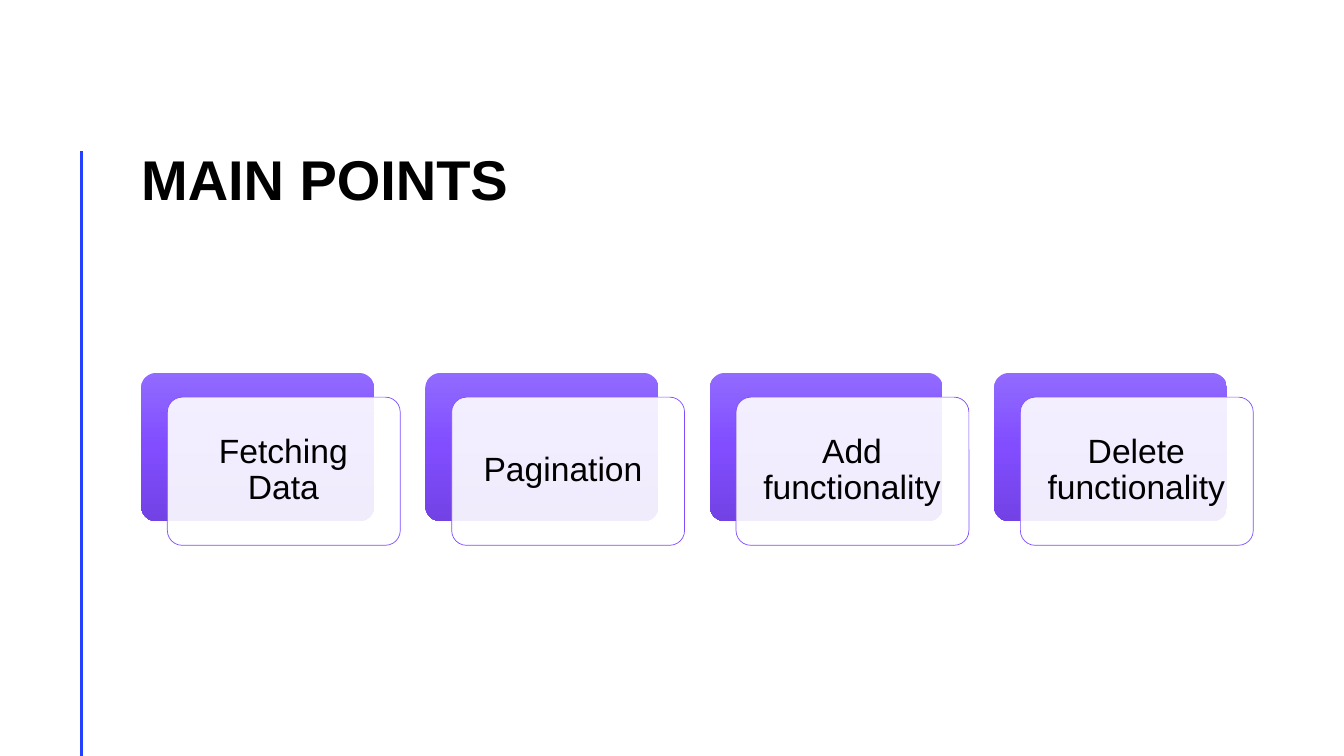
from copy import deepcopy

from lxml import etree
from pptx import Presentation
from pptx import util as u
from pptx.dml.color import RGBColor
from pptx.enum import shapes, text
from pptx.oxml import ns

SCALE = 9144
FONT = "Arial"
BLACK = "000000"
WHITE = "FFFFFF"
BLUE = "2340FF"
PURPLE = "814DFF"
GRADIENT = [(0, "916AFF"), (0.5, PURPLE), (1, "7242E5")]
POINTS = ["Fetching Data", "Pagination ", "Add functionality", "Delete functionality"]
FIRST_LEFT, STEP = 140, 282
CARD_WIDTH, CARD_HEIGHT = 231, 147


def px(length):
    return u.Emu(length * SCALE)


def color(value):
    return RGBColor.from_string(value)


def add_span(para, words, size, bold=False):
    span = para.add_run()
    span.text = words
    span.font.name = FONT
    span.font.size = u.Pt(size)
    span.font.bold = bold
    span.font.color.rgb = color(BLACK)


def format_frame(frame, anchor, inset):
    frame.word_wrap = True
    frame.auto_size = text.MSO_AUTO_SIZE.NONE
    frame.vertical_anchor = anchor
    frame.margin_left = frame.margin_right = px(inset)
    frame.margin_top = frame.margin_bottom = px(inset)


def set_title(page, words):
    title = page.shapes.title
    title.left, title.top, title.width, title.height = map(px, (140, 70, 1103, 140))
    format_frame(title.text_frame, text.MSO_ANCHOR.BOTTOM, 0)
    para = title.text_frame.paragraphs[0]
    para.alignment = text.PP_ALIGN.LEFT
    para.line_spacing = u.Pt(40)
    add_span(para, words, 40, bold=True)


def add_rule(page, x, top, bottom):
    rule = page.shapes.add_connector(
        shapes.MSO_CONNECTOR.STRAIGHT, px(x), px(top), px(x), px(bottom))
    rule.line.color.rgb = color(BLUE)
    rule.line.width = u.Pt(2)
    etree.SubElement(rule.element.spPr, ns.qn("a:effectLst"))


def add_card(page, left, top):
    card = page.shapes.add_shape(
        shapes.MSO_SHAPE.ROUNDED_RECTANGLE,
        px(left), px(top), px(CARD_WIDTH), px(CARD_HEIGHT))
    card.adjustments[0] = 0.1
    card.shadow.inherit = False
    return card


def add_back_card(page, left, top):
    card = add_card(page, left, top)
    card.line.fill.background()
    card.fill.gradient()
    card.fill.gradient_angle = 270
    stops = card.element.spPr.find(".//" + ns.qn("a:gsLst"))
    stops.append(deepcopy(stops[0]))
    for stop, (position, value) in zip(card.fill.gradient_stops, GRADIENT):
        stop.position = position
        stop.color.rgb = color(value)


def add_front_card(page, left, top):
    card = add_card(page, left, top)
    card.fill.solid()
    card.fill.fore_color.rgb = color(WHITE)
    fill = card.element.spPr.find(ns.qn("a:solidFill"))
    etree.SubElement(fill[0], ns.qn("a:alpha"), val="90000")
    card.line.color.rgb = color(PURPLE)
    card.line.width = u.Pt(0.5)


def add_label(page, left, top, words):
    box = page.shapes.add_textbox(px(left), px(top), px(222), px(138))
    format_frame(box.text_frame, text.MSO_ANCHOR.MIDDLE, 10)
    para = box.text_frame.paragraphs[0]
    para.alignment = text.PP_ALIGN.CENTER
    para.line_spacing = 0.9
    add_span(para, words, 24)


def main():
    deck = Presentation()
    deck.slide_width, deck.slide_height = px(1333), px(750)
    page = deck.slides.add_slide(deck.slide_layouts[5])
    add_rule(page, 81, 150, 750)
    set_title(page, "MAIN POINTS")
    for index, words in enumerate(POINTS):
        left = FIRST_LEFT + index * STEP
        add_back_card(page, left, 370)
        add_front_card(page, left + 26, 394)
        add_label(page, left + 30, 398, words)
    deck.save("out.pptx")


if __name__ == "__main__":
    main()
